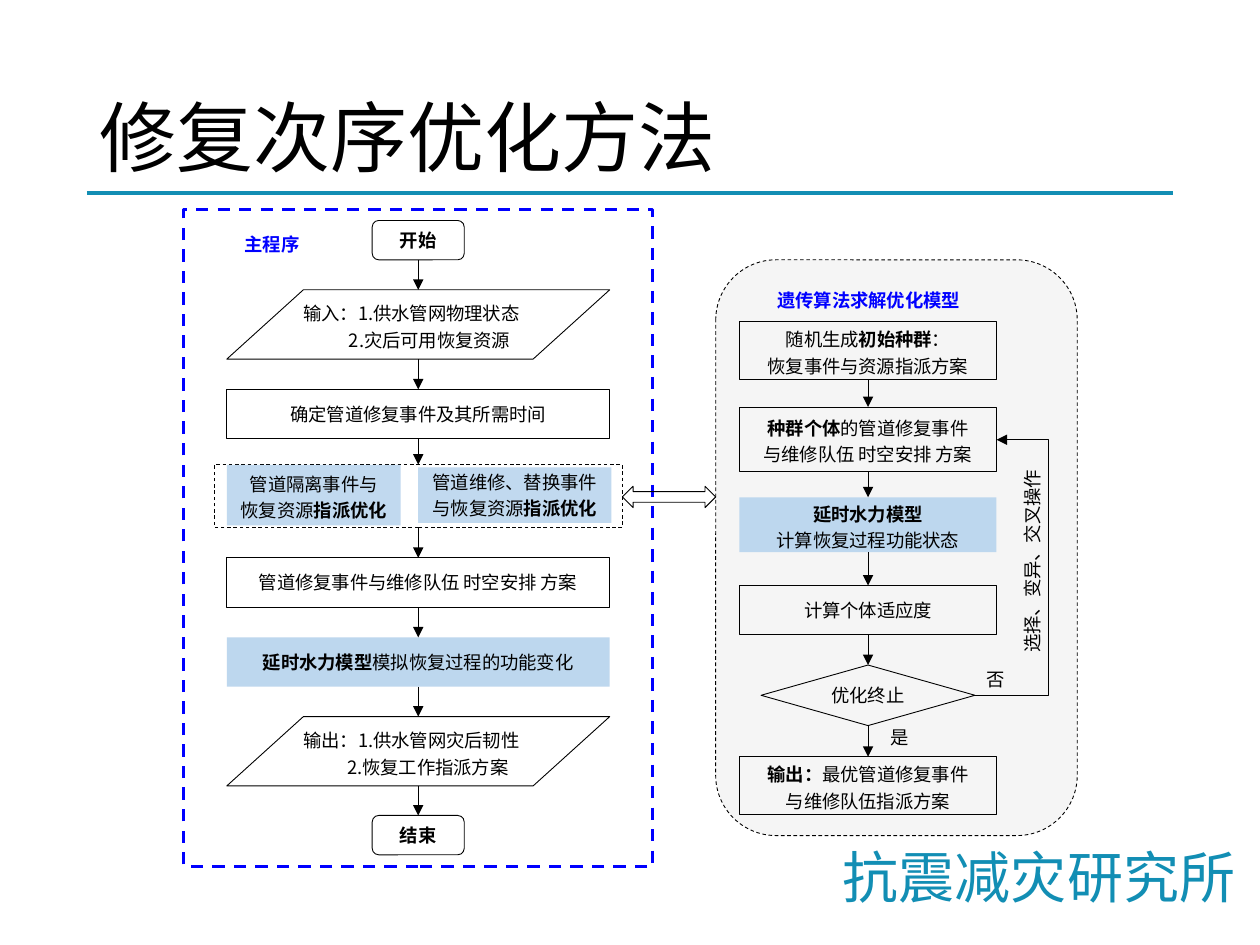
from itertools import pairwise

from lxml import etree
from pptx import Presentation
from pptx import util as u
from pptx.dml.color import RGBColor
from pptx.enum import dml, shapes, text
from pptx.oxml.ns import qn

COLORS = {"ink": "000000", "teal": "128EB4", "blue": "0000FF", "panel": "F2F2F2",
          "sky": "9DC3E6", "pale": "BDD7EE"}
CJK = "Noto Sans CJK SC"
SHAPE = shapes.MSO_SHAPE
LEFT, CENTER = text.PP_ALIGN.LEFT, text.PP_ALIGN.CENTER


def rgb(name):
    return RGBColor.from_string(COLORS[name])


def write_text(frame, words, size=10.5, color="ink", font=CJK, bold=False, aligns=(CENTER, CENTER),
               spacings=None, indent=0, inset=0, wrap=True, vert=None):
    """Fill a frame; a newline starts a paragraph, asterisks enclose bold words,
    and indent applies to every paragraph after the first."""
    lines = words.split("\n")
    spacings = spacings or ((1.2, 1.2) if len(lines) > 1 else (1.0,))
    frame.word_wrap = wrap
    frame.auto_size = text.MSO_AUTO_SIZE.NONE
    frame.vertical_anchor = text.MSO_ANCHOR.MIDDLE
    frame.margin_left = frame.margin_right = u.Pt(inset)
    frame.margin_top = frame.margin_bottom = u.Pt(inset / 2)
    if vert:
        frame._txBody.bodyPr.set("vert", vert)
    for i, (line, align, spacing) in enumerate(zip(lines, aligns, spacings)):
        para = frame.add_paragraph() if i else frame.paragraphs[0]
        para.alignment, para.line_spacing = align, spacing
        if i and indent:
            para._p.get_or_add_pPr().set("marL", str(u.Pt(indent)))
        for j, part in enumerate(line.split("*")):
            if not part:
                continue
            run = para.add_run()
            run.text = part
            run.font.size, run.font.name = u.Pt(size), font
            run.font.bold = bold or j % 2 == 1
            run.font.color.rgb = rgb(color)
            etree.SubElement(run._r.rPr, qn("a:ea")).set("typeface", CJK)


class Flowchart:
    """Holds the slide and its shared line style."""

    def __init__(self, slide, line_width=0.5):
        self.slide, self.line_width = slide, line_width

    def outline(self, line, color, width=None, dashed=False):
        line.color.rgb = rgb(color)
        line.width = u.Pt(width or self.line_width)
        if dashed:
            line.dash_style = dml.MSO_LINE.DASH

    def box(self, bounds, words=None, kind=SHAPE.RECTANGLE, fill=None, alpha=None,
            line="ink", width=None, dashed=False, **fmt):
        shape = self.slide.shapes.add_shape(kind, *map(u.Pt, bounds))
        shape.shadow.inherit = False
        if fill:
            shape.fill.solid()
            shape.fill.fore_color.rgb = rgb(fill)
        else:
            shape.fill.background()
        if alpha:
            tint = shape._element.spPr.find(".//" + qn("a:srgbClr"))
            etree.SubElement(tint, qn("a:alpha")).set("val", str(alpha * 1000))
        if line:
            self.outline(shape.line, line, width, dashed)
        else:
            shape.line.fill.background()
        if words:
            write_text(shape.text_frame, words, **fmt)
        return shape

    def label(self, bounds, words, **fmt):
        frame = self.slide.shapes.add_textbox(*map(u.Pt, bounds)).text_frame
        write_text(frame, words, **fmt)

    def connector(self, begin, end, kind=shapes.MSO_CONNECTOR.STRAIGHT, color="ink",
                  width=None, arrow=True):
        link = self.slide.shapes.add_connector(kind, *begin, *end)
        self.outline(link.line, color, width)
        if arrow:
            etree.SubElement(link.line._get_or_add_ln(), qn("a:tailEnd")).set("type", "triangle")
        etree.SubElement(link._element.spPr, qn("a:effectLst"))
        return link

    def chain(self, steps):
        """Join each step downwards to the next one."""
        for upper, lower in pairwise(steps):
            x = upper.left + upper.width // 2
            link = self.connector((x, upper.top + upper.height), (x, lower.top))
            # A parallelogram's sites are not at the middle of its sides.
            if upper.auto_shape_type != SHAPE.FLOWCHART_DATA:
                link.begin_connect(upper, 2)
            if lower.auto_shape_type != SHAPE.FLOWCHART_DATA:
                link.end_connect(lower, 0)


def draw_main_program(chart):
    left, width = 129.6, 218.8
    chart.box((105.12, 119.52, 267.84, 375.84), line="blue", width=1.75, dashed=True)
    chart.label((118, 126, 75, 26.6), "主程序", color="blue", bold=True)

    def terminal(top, words):
        return chart.box((212.7, top, 52.6, 22.5), words, SHAPE.ROUNDED_RECTANGLE, bold=True)

    def data(top, words, indent):
        return chart.box((left, top, width, 39.6), words, SHAPE.FLOWCHART_DATA,
                         aligns=(LEFT, CENTER), indent=indent)

    def process(top, words, **style):
        return chart.box((left, top, width, 28.2), words, **style)

    steps = [
        terminal(126, "开始"),
        data(165.6, "输入：1.供水管网物理状态\n2.灾后可用恢复资源", 13),
        process(222.5, "确定管道修复事件及其所需时间"),
        chart.box((122.5, 265.5, 233, 36), dashed=True),
        process(318.8, "管道修复事件与维修队伍 时空安排 方案"),
        process(364.2, "*延时水力模型*模拟恢复过程的功能变化", fill="pale", line=None),
        data(409.5, "输出：1.供水管网灾后韧性\n2.恢复工作指派方案", 11),
        terminal(466, "结束"),
    ]
    chart.box((left, 265.7, 99.4, 34.6), "管道隔离事件与\n恢复资源*指派优化*",
              fill="sky", alpha=63, line=None)
    chart.box((239, 267.1, 110.4, 31.7), "管道维修、替换事件\n与恢复资源*指派优化*",
              fill="sky", alpha=63, line=None, spacings=(1.0, 1.2))
    chart.chain(steps)


def draw_genetic_algorithm(chart):
    left, width = 422.6, 146.9
    chart.box((409, 148.5, 206.6, 329), kind=SHAPE.ROUNDED_RECTANGLE,
              fill="panel", alpha=70, dashed=True)
    chart.label((425.5, 165.6, 141.8, 12.2), "遗传算法求解优化模型", color="blue", bold=True)

    def process(top, height, words, **style):
        return chart.box((left, top, width, height), words, **style)

    schedule = process(232.6, 36.6, "*种群个体*的管道修复事件\n与维修队伍 时空安排 方案")
    decision = chart.box((434.9, 380, 122.3, 34.6), "优化终止", SHAPE.FLOWCHART_DECISION)
    chart.chain([
        process(183.6, 33.4, "随机生成*初始种群*：\n恢复事件与资源指派方案"),
        schedule,
        process(284.2, 31.4, "*延时水力模型*\n计算恢复过程功能状态", fill="pale", line=None),
        process(334.6, 28, "计算个体适应度"),
        decision,
        process(432.4, 32.8, "*输出：*最优管道修复事件\n与维修队伍指派方案"),
    ])
    chart.label((499.7, 410.4, 28.8, 21.6), "是")
    chart.label((554.4, 377.3, 28.8, 21.6), "否")
    chart.label((577.4, 251.3, 24.5, 139), "选择、变异、交叉操作", vert="vert270")

    begin = decision.left + decision.width, decision.top + decision.height // 2
    end = schedule.left + schedule.width, u.Pt(251.3)
    loop = chart.connector(begin, end, shapes.MSO_CONNECTOR.ELBOW)
    bend = round((u.Pt(599.1) - begin[0]) / (end[0] - begin[0]) * 100000)
    guides = loop._element.spPr.find(qn("a:prstGeom")).find(qn("a:avLst"))
    guide = etree.SubElement(guides, qn("a:gd"))
    guide.set("name", "adj1")
    guide.set("fmla", f"val {bend}")


def main():
    deck = Presentation()
    deck.slide_width, deck.slide_height = u.Pt(720), u.Pt(540)
    chart = Flowchart(deck.slides.add_slide(deck.slide_layouts[6]))

    chart.connector((u.Pt(49.7), u.Pt(110.2)), (u.Pt(670.3), u.Pt(110.2)),
                    color="teal", width=2.25, arrow=False)
    chart.label((481.7, 481, 226, 38.9), "抗震减灾研究所", size=32, color="teal",
                aligns=(LEFT,), wrap=False)
    chart.label((49.7, 28.8, 620.6, 104.4), "修复次序优化方法", size=44, font="Calibri",
                aligns=(LEFT,), spacings=(0.9,), inset=7.2)
    draw_main_program(chart)
    draw_genetic_algorithm(chart)
    chart.box((355.7, 277.9, 53.3, 12.2), kind=SHAPE.LEFT_RIGHT_ARROW)
    deck.save("out.pptx")


if __name__ == "__main__":
    main()
